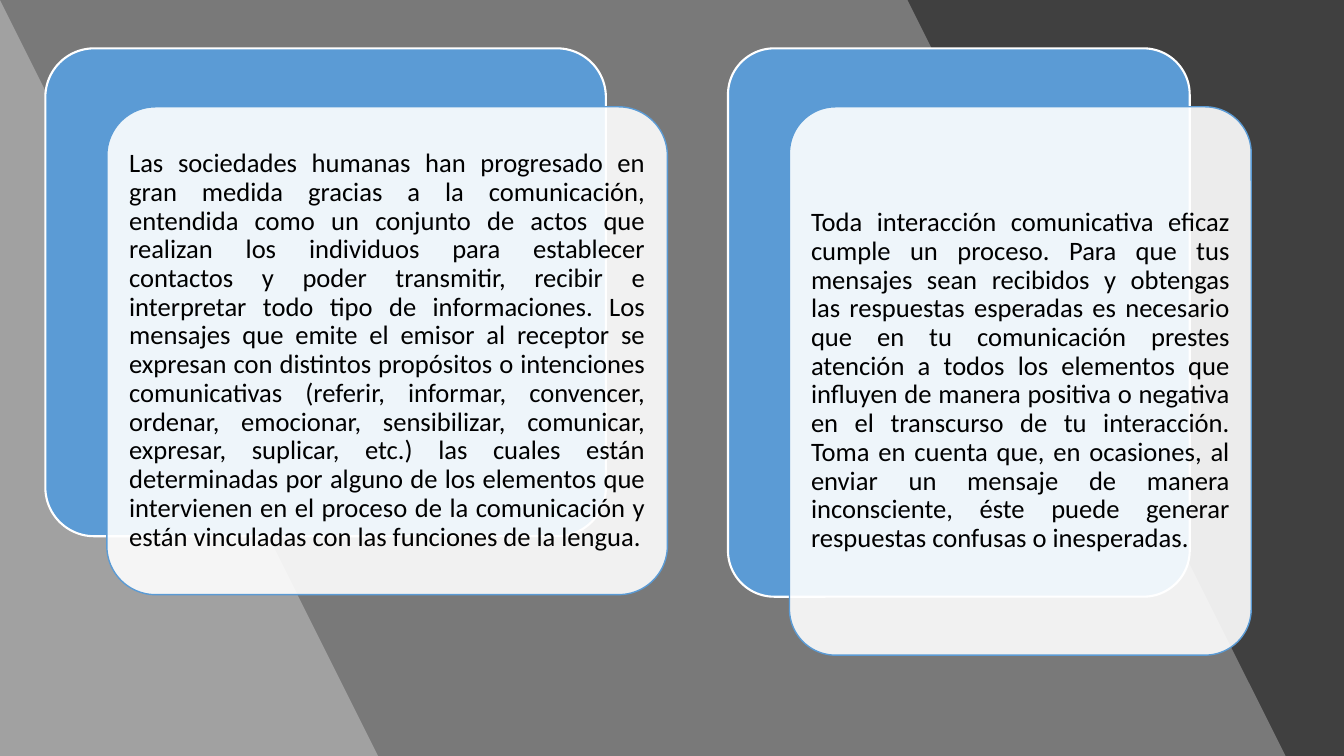
"""Build a slide with two layered cards about human communication."""
from dataclasses import dataclass
from typing import Optional

from lxml import etree
from pptx import Presentation
from pptx.dml.color import RGBColor
from pptx.enum.shapes import MSO_SHAPE
from pptx.enum.text import MSO_ANCHOR, PP_ALIGN
from pptx.oxml.ns import qn
from pptx.shapes.autoshape import Shape
from pptx.slide import Slide
from pptx.util import Inches, Pt

RECTANGLE = MSO_SHAPE.RECTANGLE
ROUNDED = MSO_SHAPE.ROUNDED_RECTANGLE
MIDDLE = MSO_ANCHOR.MIDDLE
JUSTIFY = PP_ALIGN.JUSTIFY

WHITE = RGBColor(0xFF, 0xFF, 0xFF)
BLACK = RGBColor(0x00, 0x00, 0x00)
CHARCOAL = RGBColor(0x40, 0x40, 0x40)
BLUE = RGBColor(0x5B, 0x9B, 0xD5)

SLIDE_WIDTH, SLIDE_HEIGHT = 13.33, 7.5
CARD_TOP = 0.48
CARD_OFFSET_X, CARD_OFFSET_Y = 0.61, 0.58
CORNER = 0.1
INSET = Inches(0.08)

FRAME_FORMAT = {
    "word_wrap": True,
    "vertical_anchor": MIDDLE,
    "margin_left": INSET,
    "margin_right": INSET,
    "margin_top": INSET,
    "margin_bottom": INSET,
}
PARAGRAPH_FORMAT = {"alignment": JUSTIFY, "line_spacing": 0.9}
FONT_FORMAT = {"name": "Calibri", "size": Pt(19)}


@dataclass(frozen=True)
class Band:
    """A translucent band whose right edge slants from top to bottom."""
    top_width: float
    bottom_width: float


@dataclass(frozen=True)
class Card:
    """A solid back plate with a translucent text plate in front."""
    left: float
    width: float
    height: float
    message: str


BANDS = [Band(9.42, 12.89), Band(0.44, 3.92)]

CARDS = [
    Card(0.45, 5.56, 4.84,
         "Las sociedades humanas han progresado en gran medida gracias a la "
         "comunicación, entendida como un conjunto de actos que realizan los "
         "individuos para establecer contactos y poder transmitir, recibir e "
         "interpretar todo tipo de informaciones. Los mensajes que emite el "
         "emisor al receptor se expresan con distintos propósitos o "
         "intenciones comunicativas (referir, informar, convencer, ordenar, "
         "emocionar, sensibilizar, comunicar, expresar, suplicar, etc.) las "
         "cuales están determinadas por alguno de los elementos que "
         "intervienen en el proceso de la comunicación y están vinculadas "
         "con las funciones de la lengua."),
    Card(7.22, 4.58, 5.44,
         "Toda interacción comunicativa eficaz cumple un proceso. Para que "
         "tus mensajes sean recibidos y obtengas las respuestas esperadas es "
         "necesario que en tu comunicación prestes atención a todos los "
         "elementos que influyen de manera positiva o negativa en el "
         "transcurso de tu interacción. Toma en cuenta que, en ocasiones, al "
         "enviar un mensaje de manera inconsciente, éste puede generar "
         "respuestas confusas o inesperadas."),
]


def apply_format(target: object, values: dict) -> None:
    """Set every named attribute on the target."""
    for attribute, value in values.items():
        setattr(target, attribute, value)


def paint(shape: Shape, fill: RGBColor, opacity: int = 100,
          outline: Optional[RGBColor] = None, weight: float = 0) -> None:
    """Fill and outline a shape, with opacity in percent."""
    shape.shadow.inherit = False
    shape.fill.solid()
    shape.fill.fore_color.rgb = fill
    if opacity < 100:
        color = shape._element.spPr.find(f"{qn('a:solidFill')}/{qn('a:srgbClr')}")
        etree.SubElement(color, qn("a:alpha")).set("val", str(opacity * 1000))
    if outline is None:
        shape.line.fill.background()
    else:
        shape.line.color.rgb = outline
        shape.line.width = Pt(weight)


def draw_band(slide: Slide, band: Band) -> None:
    """Draw one slanted band from the left edge of the slide."""
    builder = slide.shapes.build_freeform(0, 0, scale=Inches(1))
    builder.add_line_segments([
        (band.top_width, 0),
        (band.bottom_width, SLIDE_HEIGHT),
        (0, SLIDE_HEIGHT),
    ], close=True)
    paint(builder.convert_to_shape(), WHITE, opacity=30)


def add_plate(slide: Slide, card: Card, layer: int) -> Shape:
    """Add a rounded plate, shifted by its layer."""
    plate = slide.shapes.add_shape(
        ROUNDED,
        Inches(card.left + layer * CARD_OFFSET_X),
        Inches(CARD_TOP + layer * CARD_OFFSET_Y),
        Inches(card.width), Inches(card.height))
    plate.adjustments[0] = CORNER
    return plate


def draw_card(slide: Slide, card: Card) -> None:
    """Draw both plates of a card and write its message on the front one."""
    paint(add_plate(slide, card, 0), BLUE, outline=WHITE, weight=1.5)
    front = add_plate(slide, card, 1)
    paint(front, WHITE, opacity=90, outline=BLUE, weight=1)
    apply_format(front.text_frame, FRAME_FORMAT)
    paragraph = front.text_frame.paragraphs[0]
    apply_format(paragraph, PARAGRAPH_FORMAT)
    message = paragraph.add_run()
    message.text = card.message
    apply_format(message.font, FONT_FORMAT)
    message.font.color.rgb = BLACK


def main() -> None:
    """Assemble and save the slide."""
    presentation = Presentation()
    presentation.slide_width = Inches(SLIDE_WIDTH)
    presentation.slide_height = Inches(SLIDE_HEIGHT)
    slide = presentation.slides.add_slide(presentation.slide_layouts[6])
    backdrop = slide.shapes.add_shape(
        RECTANGLE, 0, 0, Inches(SLIDE_WIDTH), Inches(SLIDE_HEIGHT))
    paint(backdrop, CHARCOAL)
    for band in BANDS:
        draw_band(slide, band)
    for card in CARDS:
        draw_card(slide, card)
    presentation.save("out.pptx")


if __name__ == "__main__":
    main()
